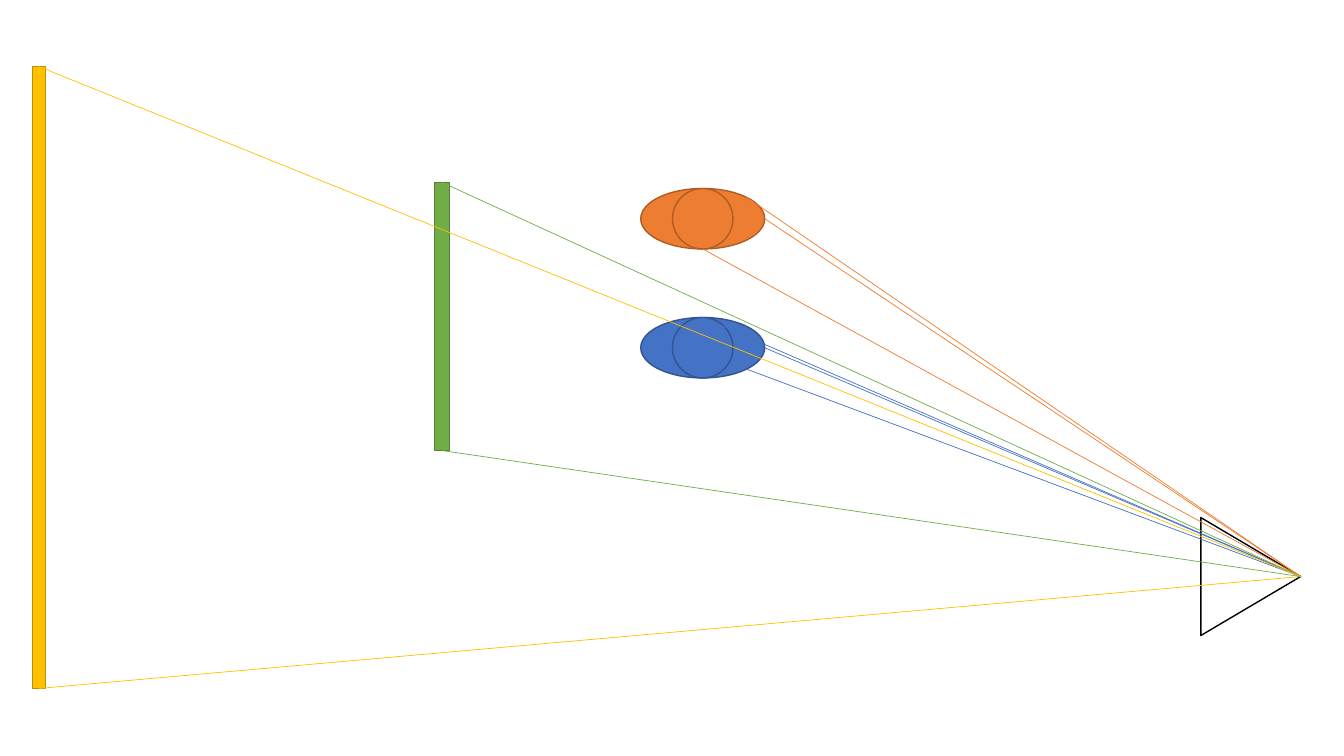
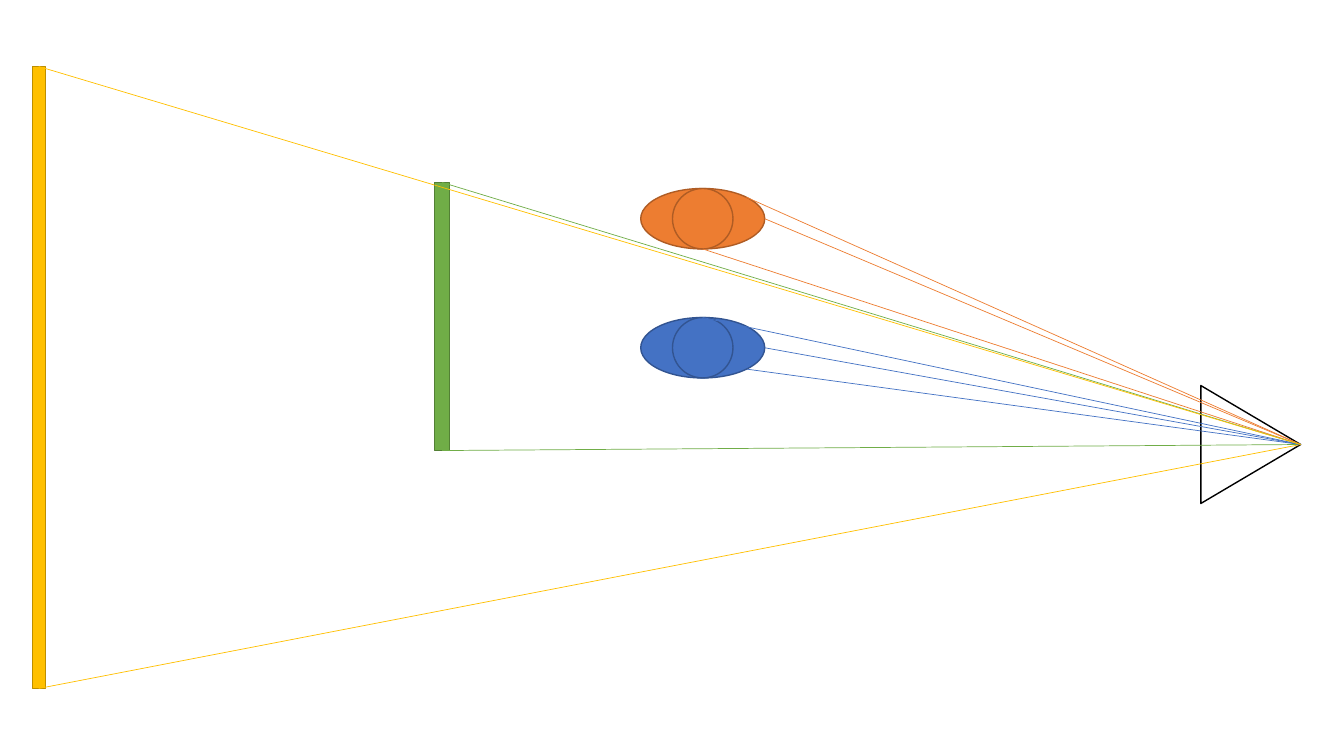
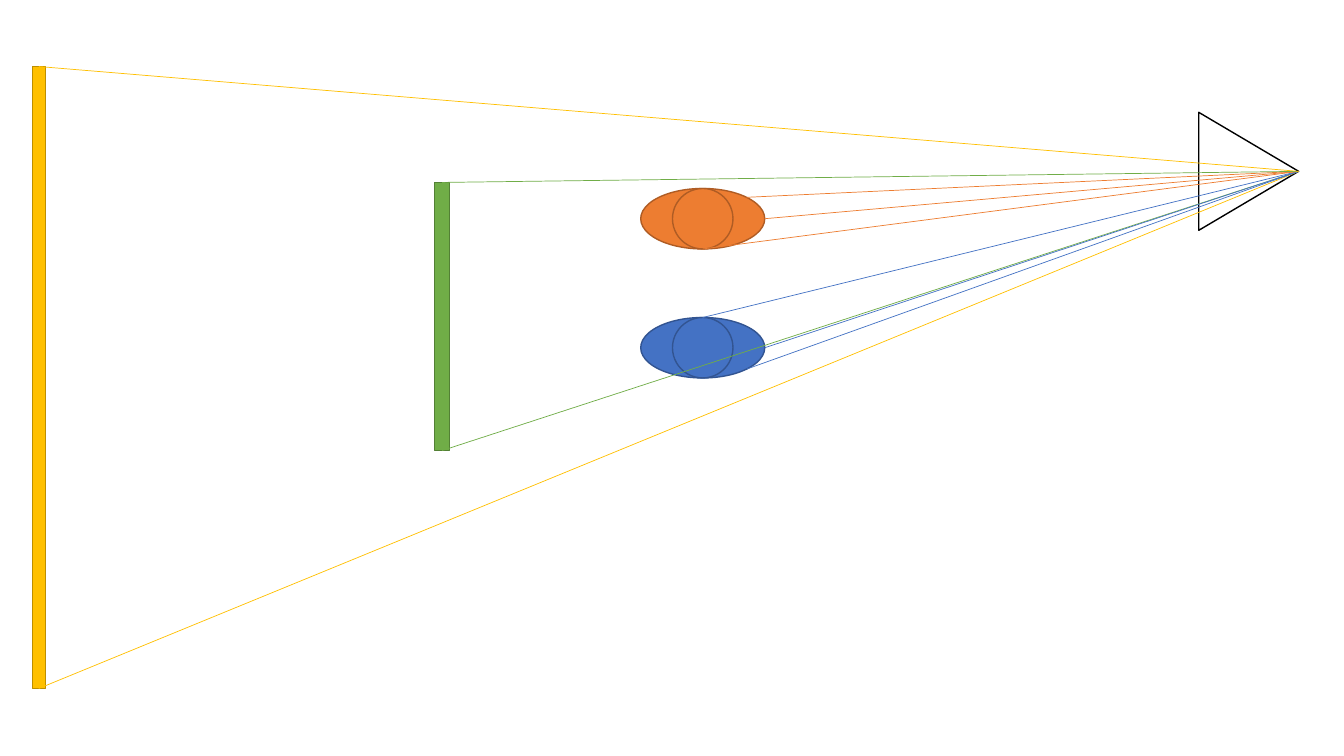
from math import cos, radians, sin

from pptx import Presentation
from pptx.dml.color import RGBColor as Rgb
from pptx.enum.shapes import MSO_CONNECTOR as Link, MSO_SHAPE as Form
from pptx.oxml.ns import qn
from pptx.util import Inches, Pt
from lxml.etree import SubElement

BLUE, NAVY = Rgb(0x44, 0x72, 0xC4), Rgb(0x32, 0x54, 0x91)
ORANGE, RUST = Rgb(0xED, 0x7D, 0x31), Rgb(0xAF, 0x5C, 0x24)
GREEN, MOSS = Rgb(0x70, 0xAD, 0x47), Rgb(0x53, 0x80, 0x35)
GOLD, OCHRE = Rgb(0xFF, 0xC0, 0x00), Rgb(0xBD, 0x8E, 0x00)
BLACK = Rgb(0x00, 0x00, 0x00)

BODY = (1.23, 0.6)
HEAD = 0.6
LENS = (1.17, 0.99)
BLUE_MID = (6.97, 3.45)
ORANGE_MID = (6.97, 2.17)
SCREEN = (4.31, 1.81, 0.15, 2.66)
WALL = (0.32, 0.66, 0.13, 6.17)
TOP, BOTTOM = 0, 2
TIPS = [(12.9, 5.72), (12.9, 4.41), (12.88, 1.7)]


def put(slide, form, box, fill, edge):
    shape = slide.shapes.add_shape(form, *map(Inches, box))
    shape.shadow.inherit = False
    if fill is None:
        shape.fill.background()
    else:
        shape.fill.solid()
        shape.fill.fore_color.rgb = fill
    shape.line.color.rgb = edge
    shape.line.width = Pt(1)
    return shape


def person(slide, mid, fill, edge):
    x, y = mid
    for wide, high in (BODY, (HEAD, HEAD)):
        box = (x - wide / 2, y - high / 2, wide, high)
        put(slide, Form.OVAL, box, fill, edge)


def eye(slide, tip):
    wide, high = LENS
    x, y = tip
    box = (x - (wide + high) / 2, y - high / 2, wide, high)
    put(slide, Form.ISOSCELES_TRIANGLE, box, None, BLACK).rotation = 90


def ray(slide, start, tip, color):
    line = slide.shapes.add_connector(Link.STRAIGHT, *map(Inches, (*start, *tip)))
    line.line.color.rgb = color
    line.line.width = Pt(0.5)
    SubElement(line._element.spPr, qn("a:effectLst"))
    return line


def bar_ray(slide, bar, side, tip, color):
    ray(slide, tip, tip, color).begin_connect(bar, side)


def body_rays(slide, mid, turns, tip, color):
    for turn in turns:
        angle = radians(turn)
        start = (mid[0] + BODY[0] / 2 * cos(angle), mid[1] + BODY[1] / 2 * sin(angle))
        ray(slide, start, tip, color)


def scene(slide, tip):
    person(slide, BLUE_MID, BLUE, NAVY)
    person(slide, ORANGE_MID, ORANGE, RUST)
    screen = put(slide, Form.RECTANGLE, SCREEN, GREEN, MOSS)
    wall = put(slide, Form.RECTANGLE, WALL, GOLD, OCHRE)
    eye(slide, tip)
    bar_ray(slide, wall, BOTTOM, tip, GOLD)
    bar_ray(slide, screen, BOTTOM, tip, GREEN)
    body_rays(slide, BLUE_MID, (45, 0, -90), tip, BLUE)
    body_rays(slide, ORANGE_MID, (90, -45, 0), tip, ORANGE)
    bar_ray(slide, screen, TOP, tip, GREEN)
    bar_ray(slide, wall, TOP, tip, GOLD)


def main():
    deck = Presentation()
    deck.slide_width = Inches(13.33)
    deck.slide_height = Inches(7.5)
    blank = deck.slide_layouts[6]
    for tip in TIPS:
        scene(deck.slides.add_slide(blank), tip)
    deck.save("out.pptx")


if __name__ == "__main__":
    main()
